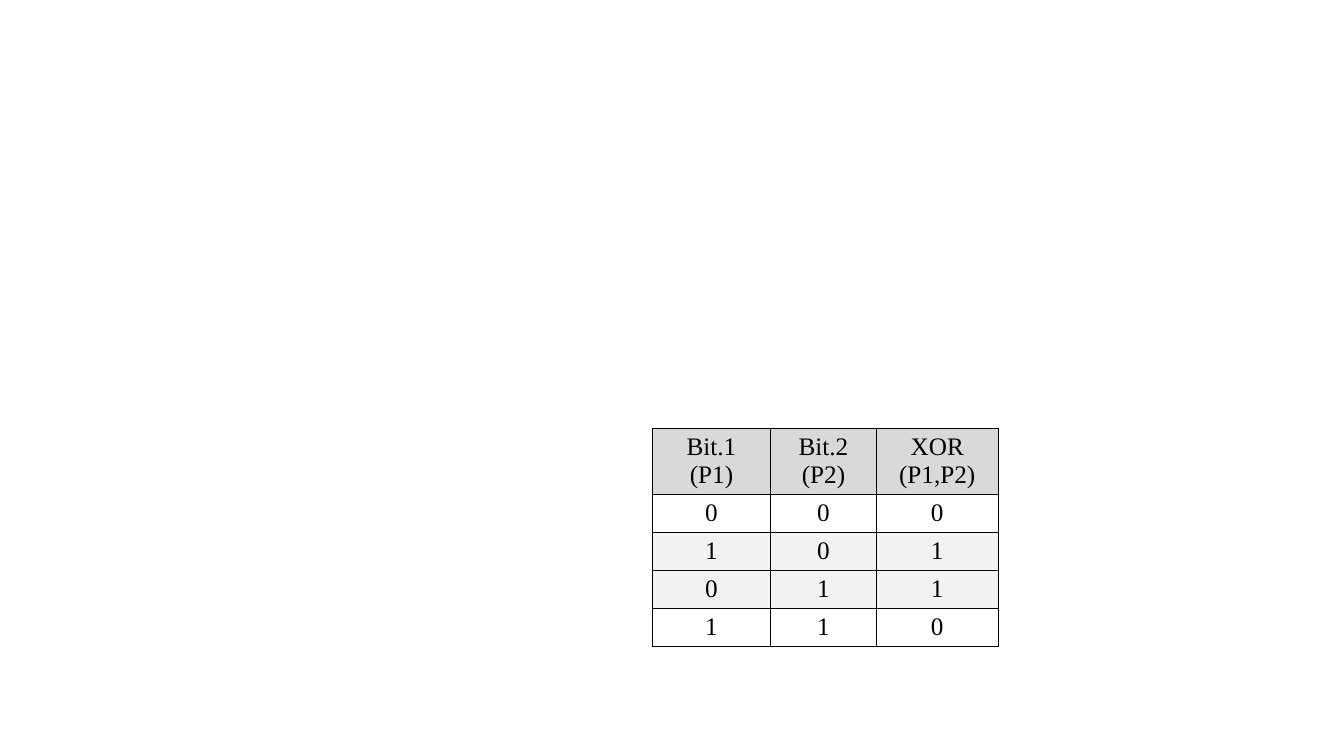
import pptx
import pptx.util
import pptx.dml.color
import pptx.enum.text
import pptx.oxml
import pptx.oxml.ns

Pt = pptx.util.Pt
RGB = pptx.dml.color.RGBColor

HEADS = ["Bit.1 (P1)", "Bit.2 (P2)", "XOR (P1,P2)"]
BITS = [(0, 0), (1, 0), (0, 1), (1, 1)]
ROWS = [HEADS] + [(a, b, a ^ b) for a, b in BITS]

BLACK = RGB(0x00, 0x00, 0x00)
WHITE = RGB(0xFF, 0xFF, 0xFF)
GREY = RGB(0xD9, 0xD9, 0xD9)
PALE = RGB(0xF2, 0xF2, 0xF2)
FILLS = [GREY, WHITE, PALE, PALE, WHITE]

LEFT, TOP = 466, 306
WIDTHS = [84.5, 75.5, 87]
HEIGHTS = [47] + [27] * len(BITS)


def add_edges(cell):
    """Draw a 1 pt black line on all four sides of a cell."""
    props = cell._tc.get_or_add_tcPr()
    for i, side in enumerate(("lnL", "lnR", "lnT", "lnB")):
        line = pptx.oxml.parse_xml(
            f'<a:{side} {pptx.oxml.ns.nsdecls("a")} w="{Pt(1)}">'
            f'<a:solidFill><a:srgbClr val="{BLACK}"/></a:solidFill></a:{side}>')
        props.insert(i, line)


def fill_cell(cell, text, color):
    cell.text = str(text)
    cell.fill.solid()
    cell.fill.fore_color.rgb = color
    para = cell.text_frame.paragraphs[0]
    para.alignment = pptx.enum.text.PP_ALIGN.CENTER
    para.font.name = "Times New Roman"
    para.font.size = Pt(18)
    para.font.bold = False
    para.font.color.rgb = BLACK
    add_edges(cell)


def main():
    deck = pptx.Presentation()
    deck.slide_width, deck.slide_height = Pt(960), Pt(540)
    slide = deck.slides.add_slide(deck.slide_layouts[6])
    table = slide.shapes.add_table(
        len(ROWS), len(HEADS), Pt(LEFT), Pt(TOP),
        Pt(sum(WIDTHS)), Pt(sum(HEIGHTS))).table
    table.horz_banding = False
    for col, width in zip(table.columns, WIDTHS):
        col.width = Pt(width)
    for row, height, texts, color in zip(table.rows, HEIGHTS, ROWS, FILLS):
        row.height = Pt(height)
        for cell, text in zip(row.cells, texts):
            fill_cell(cell, text, color)
    deck.save("out.pptx")


if __name__ == "__main__":
    main()
